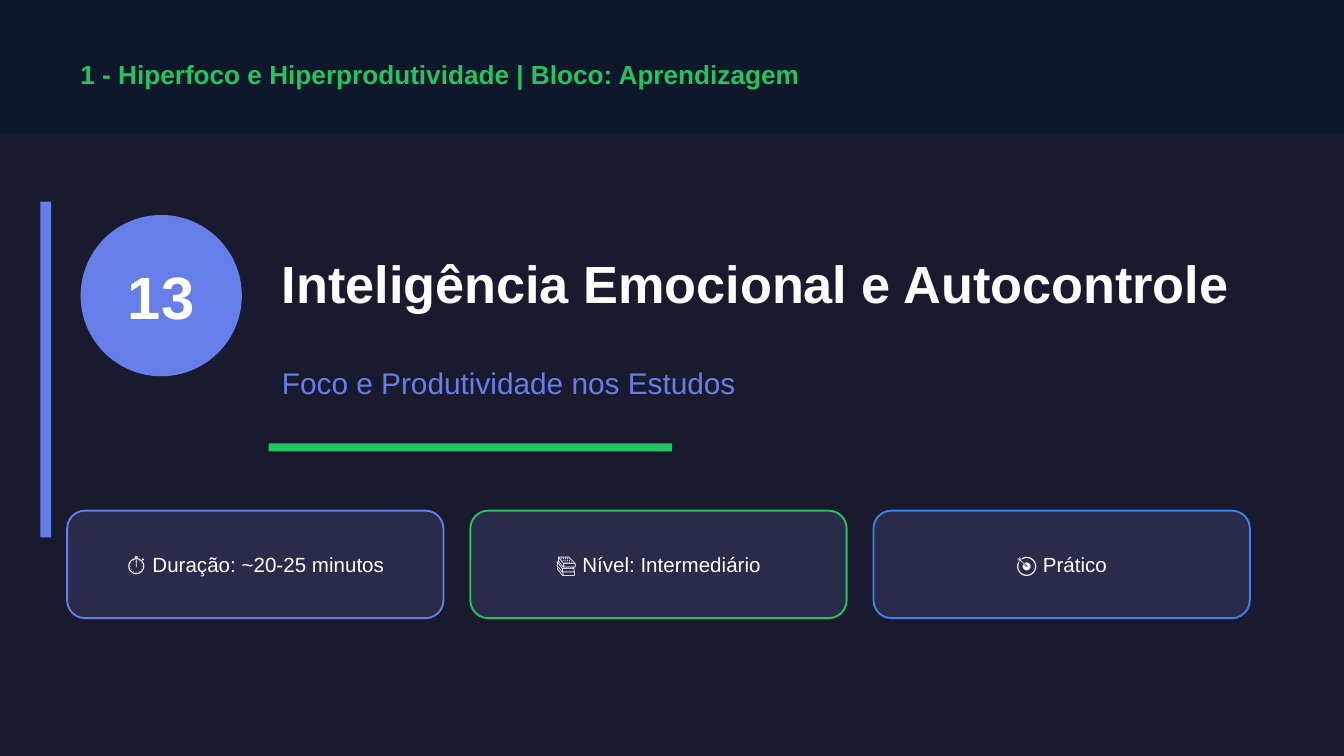
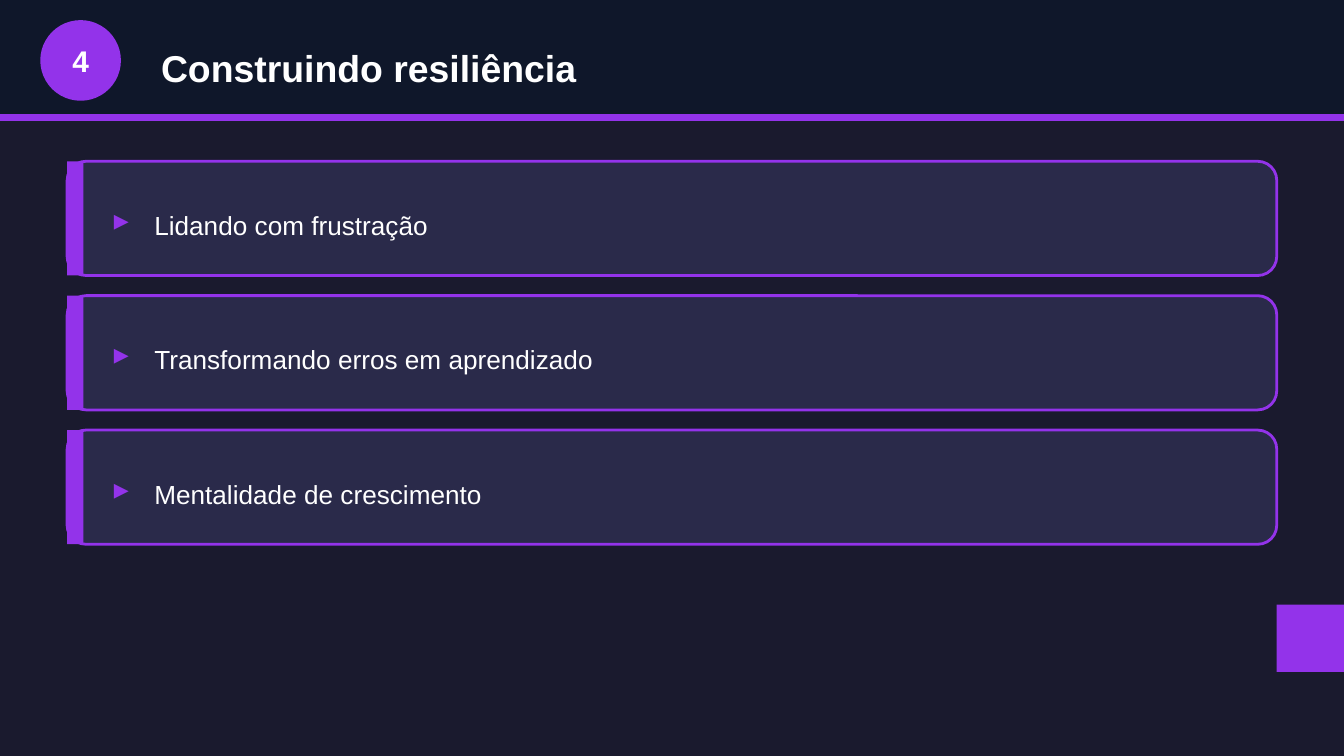
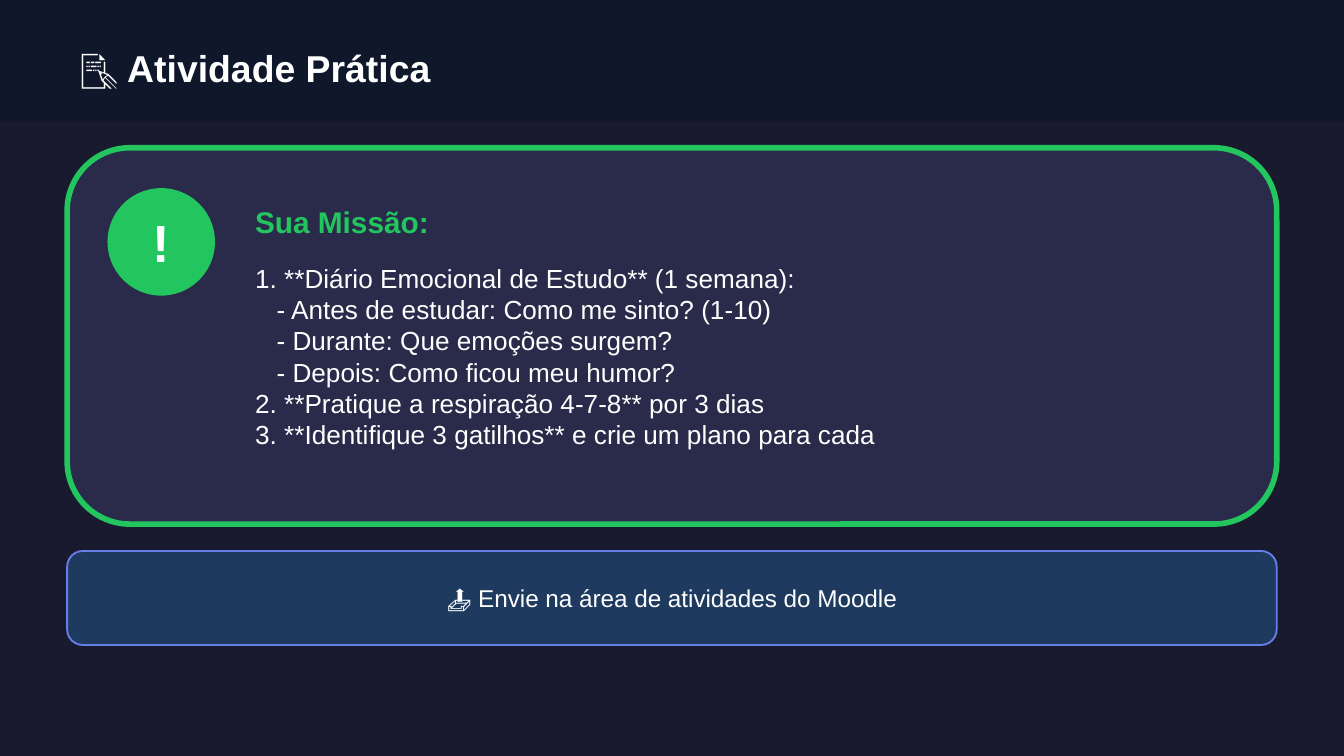
"""Build three slides of a lesson on emotional intelligence and self-control."""
from dataclasses import dataclass

from pptx import Presentation
from pptx.dml.color import RGBColor
from pptx.enum.shapes import MSO_SHAPE
from pptx.enum.text import MSO_ANCHOR, PP_ALIGN
from pptx.util import Inches, Pt


@dataclass(frozen=True)
class Theme:
    font: str = "Arial"
    page: str = "1A1A2E"
    band: str = "0F172A"
    card: str = "2A2A4A"
    notice: str = "1E3A5F"
    white: str = "FFFFFF"
    indigo: str = "667EEA"
    green: str = "22C55E"
    blue: str = "3B82F6"
    purple: str = "9333EA"
    cover: int = 28
    number: int = 32
    title: int = 20
    heading: int = 16
    body: int = 14
    note: int = 13
    label: int = 11


T = Theme()
CELL = Inches(0.1)
COLS, ROWS = 100, 56.25
MARGIN = 5
CONTENT = COLS - 2 * MARGIN


def add_box(s, kind, col, row, cols, rows, fill, line=None, weight=1):
    sp = s.shapes.add_shape(kind, *(round(n * CELL) for n in (col, row, cols, rows)))
    sp.shadow.inherit = False
    sp.fill.solid()
    sp.fill.fore_color.rgb = RGBColor.from_string(fill)
    if line:
        sp.line.color.rgb = RGBColor.from_string(line)
        sp.line.width = Pt(weight)
    else:
        sp.line.fill.background()


def add_text(s, text, col, row, cols, rows, size, color=T.white, bold=False,
             align=PP_ALIGN.LEFT, anchor=MSO_ANCHOR.MIDDLE):
    sp = s.shapes.add_textbox(*(round(n * CELL) for n in (col, row, cols, rows)))
    tf = sp.text_frame
    tf.word_wrap = True
    tf.vertical_anchor = anchor
    tf.text = text
    for p in tf.paragraphs:
        p.alignment = align
        p.font.name = T.font
        p.font.size = Pt(size)
        p.font.bold = bold
        p.font.color.rgb = RGBColor.from_string(color)
    return tf


prs = Presentation()
prs.slide_width = round(COLS * CELL)
prs.slide_height = round(ROWS * CELL)

slides = []
for band_rows in (10, 9, 9):
    s = prs.slides.add_slide(prs.slide_layouts[6])
    s.background.fill.solid()
    s.background.fill.fore_color.rgb = RGBColor.from_string(T.page)
    add_box(s, MSO_SHAPE.RECTANGLE, 0, 0, COLS, band_rows, T.band)
    slides.append(s)
cover, topic, activity = slides

s = cover
add_text(s, "1 - Hiperfoco e Hiperprodutividade | Bloco: Aprendizagem",
         MARGIN, 3.5, CONTENT, 4, T.body, T.green, bold=True)
add_box(s, MSO_SHAPE.RECTANGLE, 3, 15, 0.8, 25, T.indigo)
add_box(s, MSO_SHAPE.OVAL, 6, 16, 12, 12, T.indigo)
add_text(s, "13", 6, 18.5, 12, 7, T.number, bold=True, align=PP_ALIGN.CENTER)
add_text(s, "Inteligência Emocional e Autocontrole", 20, 16, 75, 10, T.cover, bold=True)
add_text(s, "Foco e Produtividade nos Estudos", 20, 26, 75, 5, T.heading, T.indigo)
add_box(s, MSO_SHAPE.RECTANGLE, 20, 33, 30, 0.6, T.green)

facts = [
    ("⏱ Duração: ~20-25 minutos", T.indigo),
    ("📚 Nível: Intermediário", T.green),
    ("🎯 Prático", T.blue),
]
fact_cols, fact_gap = 28, 2
for i, (fact, color) in enumerate(facts):
    col = MARGIN + i * (fact_cols + fact_gap)
    add_box(s, MSO_SHAPE.ROUNDED_RECTANGLE, col, 38, fact_cols, 8, T.card, color)
    add_text(s, fact, col, 39.5, fact_cols, 5, T.label, align=PP_ALIGN.CENTER)

s = topic
add_box(s, MSO_SHAPE.RECTANGLE, 0, 8.5, COLS, 0.5, T.purple)
add_box(s, MSO_SHAPE.OVAL, 3, 1.5, 6, 6, T.purple)
add_text(s, "4", 3, 2.5, 6, 4, T.heading, bold=True, align=PP_ALIGN.CENTER)
add_text(s, "Construindo resiliência", 11, 2.5, 85, 5, T.title, bold=True)

points = ["Lidando com frustração", "Transformando erros em aprendizado",
          "Mentalidade de crescimento"]
for i, point in enumerate(points):
    row = 12 + 10 * i
    add_box(s, MSO_SHAPE.ROUNDED_RECTANGLE, MARGIN, row, CONTENT, 8.5, T.card, T.purple, 1.5)
    add_box(s, MSO_SHAPE.RECTANGLE, MARGIN, row, 1.2, 8.5, T.purple)
    add_text(s, "▸", 7.5, row + 2.5, 3, 3.5, T.heading, T.purple, bold=True)
    add_text(s, point, 10.5, row + 2.5, 82, 4.5, T.body)
add_box(s, MSO_SHAPE.RECTANGLE, COLS - 5, 45, 5, 5, T.purple)

s = activity
add_text(s, "📝 Atividade Prática", MARGIN, 2.5, CONTENT, 5, T.title, bold=True)
add_box(s, MSO_SHAPE.ROUNDED_RECTANGLE, MARGIN, 11, CONTENT, 28, T.card, T.green, 3)
add_box(s, MSO_SHAPE.OVAL, 8, 14, 8, 8, T.green)
add_text(s, "!", 8, 15, 8, 6, T.cover, bold=True, align=PP_ALIGN.CENTER)
add_text(s, "Sua Missão:", 18, 14, 75, 5, T.heading, T.green, bold=True)

mission = [
    "1. **Diário Emocional de Estudo** (1 semana):",
    "- Antes de estudar: Como me sinto? (1-10)",
    "- Durante: Que emoções surgem?",
    "- Depois: Como ficou meu humor?",
    "2. **Pratique a respiração 4-7-8** por 3 dias",
    "3. **Identifique 3 gatilhos** e crie um plano para cada",
]
tf = add_text(s, "\n".join(mission), 18, 19, 74, 18, T.body, anchor=MSO_ANCHOR.TOP)
for p in tf.paragraphs:
    if p.text.startswith("-"):
        p._p.get_or_add_pPr().set("marL", str(round(1.6 * CELL)))

add_box(s, MSO_SHAPE.ROUNDED_RECTANGLE, MARGIN, 41, CONTENT, 7, T.notice, T.indigo)
add_text(s, "📤 Envie na área de atividades do Moodle", MARGIN, 42.5, CONTENT, 4,
         T.note, align=PP_ALIGN.CENTER)

prs.save("out.pptx")
